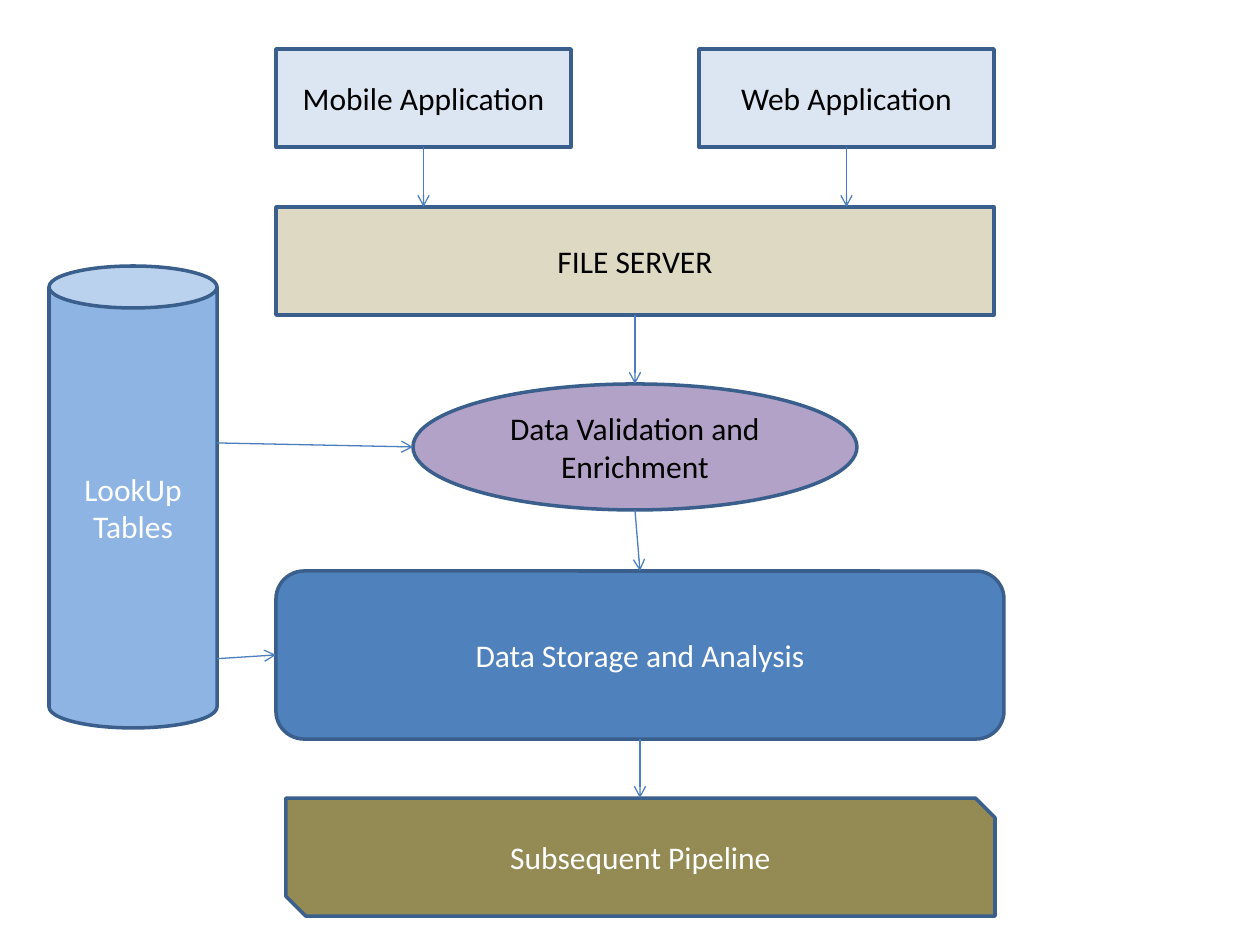
from dataclasses import dataclass

from lxml import etree
from pptx import Presentation
from pptx import util as u
from pptx.dml.color import RGBColor
from pptx.enum import shapes, text
from pptx.oxml import ns

PIXEL = 914400 / 126
FONT = "Calibri"
BLACK = RGBColor(0x00, 0x00, 0x00)
WHITE = RGBColor(0xFF, 0xFF, 0xFF)
OUTLINE = RGBColor(0x3A, 0x5F, 0x8C)
ARROW = RGBColor(0x4B, 0x7E, 0xBC)
PALE_BLUE = RGBColor(0xDC, 0xE6, 0xF2)
TAN = RGBColor(0xDD, 0xD9, 0xC3)
PURPLE = RGBColor(0xB3, 0xA2, 0xC7)
BLUE = RGBColor(0x4F, 0x81, 0xBD)
SKY = RGBColor(0x8E, 0xB4, 0xE3)
OLIVE = RGBColor(0x94, 0x8A, 0x54)

Kind = shapes.MSO_SHAPE
Point = tuple[float, float]


@dataclass(frozen=True)
class Node:
    label: str
    kind: Kind
    left: int
    top: int
    width: int
    height: int
    fill: RGBColor
    color: RGBColor = BLACK

    def at(self, across: float, down: float) -> Point:
        return self.left + across * self.width, self.top + down * self.height

    @property
    def top_center(self) -> Point:
        return self.at(0.5, 0)

    @property
    def bottom_center(self) -> Point:
        return self.at(0.5, 1)

    @property
    def left_center(self) -> Point:
        return self.at(0, 0.5)


def px(value: float) -> u.Emu:
    return u.Emu(round(value * PIXEL))


def write_text(shape, content: str, *, size: int = 18, color: RGBColor = BLACK) -> None:
    frame = shape.text_frame
    frame.word_wrap = True
    frame.vertical_anchor = text.MSO_ANCHOR.MIDDLE
    paragraph = frame.paragraphs[0]
    paragraph.alignment = text.PP_ALIGN.CENTER
    run = paragraph.add_run()
    run.text = content
    run.font.name = FONT
    run.font.size = u.Pt(size)
    run.font.color.rgb = color


def draw_node(slide, node: Node) -> None:
    shape = slide.shapes.add_shape(
        node.kind, px(node.left), px(node.top), px(node.width), px(node.height))
    shape.shadow.inherit = False
    shape.fill.solid()
    shape.fill.fore_color.rgb = node.fill
    shape.line.color.rgb = OUTLINE
    shape.line.width = u.Pt(2)
    write_text(shape, node.label, color=node.color)


def draw_arrow(slide, start: Point, end: Point) -> None:
    connector = slide.shapes.add_connector(
        shapes.MSO_CONNECTOR.STRAIGHT, *map(px, start + end))
    connector.line.color.rgb = ARROW
    connector.line.width = u.Pt(0.75)
    line = connector.line._get_or_add_ln()
    etree.SubElement(line, ns.qn("a:tailEnd"), type="arrow")
    etree.SubElement(connector._element.spPr, ns.qn("a:effectLst"))


# Pipeline stages
mobile = Node("Mobile Application", Kind.RECTANGLE, 276, 49, 295, 98, PALE_BLUE)
web = Node("Web Application", Kind.RECTANGLE, 699, 49, 295, 98, PALE_BLUE)
server = Node("FILE SERVER", Kind.RECTANGLE, 276, 207, 718, 108, TAN)
validation = Node("Data Validation and Enrichment", Kind.OVAL, 413, 384, 444, 126, PURPLE)
storage = Node("Data Storage and Analysis", Kind.ROUNDED_RECTANGLE,
               276, 571, 728, 168, BLUE, WHITE)
lookup = Node("LookUp Tables", Kind.CAN, 49, 266, 168, 462, SKY, WHITE)
pipeline = Node("Subsequent Pipeline", Kind.SNIP_2_DIAG_RECTANGLE,
                286, 798, 709, 118, OLIVE, WHITE)
nodes = [mobile, web, server, validation, storage, lookup, pipeline]

# Data flow between stages
arrows = [(app.bottom_center, (app.bottom_center[0], server.top))
          for app in (mobile, web)]
arrows += [(upper.bottom_center, lower.top_center)
           for upper, lower in ((server, validation), (validation, storage))]
arrows += [
    (storage.bottom_center, (storage.bottom_center[0], pipeline.top)),
    (lookup.at(1, 0.383), validation.left_center),
    (lookup.at(1, 0.85), storage.left_center),
]

presentation = Presentation()
presentation.slide_width = px(1260)
presentation.slide_height = px(945)
slide = presentation.slides.add_slide(presentation.slide_layouts[6])

for node in nodes:
    draw_node(slide, node)
for start, end in arrows:
    draw_arrow(slide, start, end)

presentation.save("out.pptx")
